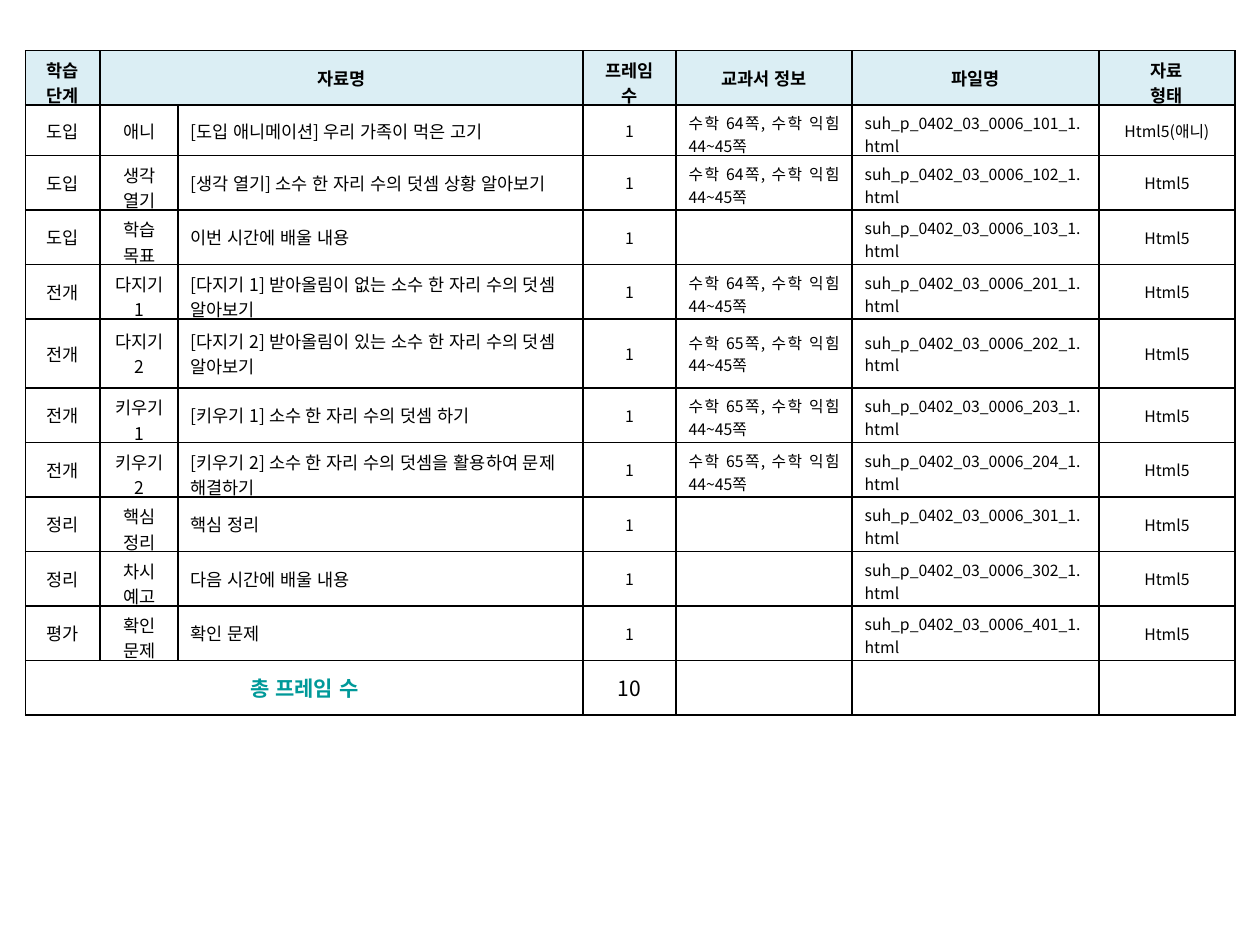
from lxml.etree import SubElement
from pptx import Presentation
from pptx.dml.color import RGBColor
from pptx.enum.lang import MSO_LANGUAGE_ID as Lang
from pptx.enum.text import MSO_ANCHOR, PP_ALIGN as Align
from pptx.oxml.ns import qn
from pptx.util import Pt

FONT = "Noto Sans CJK KR"
BLACK, TEAL, HEADER_BLUE = "000000", "009999", "DBEEF4"

COL_WIDTHS = [42.6, 44.6, 231.4, 53.2, 100.6, 141, 77.8]
LINE_CAPACITY = [3, 3, 30, 3, 16, 20, 12]  # characters that fit on one line
ROW_HEIGHT = 31.14
SPECIAL_HEIGHTS = {1: 28.86, 5: 39.43}
MARGIN = 3.6
LINE_HEIGHT = 1.46
HEADERS = ["학습 단계", "자료명", "", "프레임 수", "교과서 정보", "파일명", "자료\n형태"]

# stage, activity, title, textbook page, file number
LESSONS = [
    ("도입", "애니", "[도입 애니메이션] 우리 가족이 먹은 고기", 64, 101),
    ("도입", "생각 열기", "[생각 열기] 소수 한 자리 수의 덧셈 상황 알아보기", 64, 102),
    ("도입", "학습 목표", "이번 시간에 배울 내용", None, 103),
    ("전개", "다지기 1", "[다지기 1] 받아올림이 없는 소수 한 자리 수의 덧셈 알아보기", 64, 201),
    ("전개", "다지기 2", "[다지기 2] 받아올림이 있는 소수 한 자리 수의 덧셈 알아보기", 65, 202),
    ("전개", "키우기 1", "[키우기 1] 소수 한 자리 수의 덧셈 하기", 65, 203),
    ("전개", "키우기 2", "[키우기 2] 소수 한 자리 수의 덧셈을 활용하여 문제 해결하기", 65, 204),
    ("정리", "핵심 정리", "핵심 정리", None, 301),
    ("정리", "차시 예고", "다음 시간에 배울 내용", None, 302),
    ("평가", "확인 문제", "확인 문제", None, 401),
]
HEADER_FORMATS = [dict(size=10, bold=True)] * len(HEADERS)
BODY_FORMATS = [
    dict(size=10), dict(size=10), dict(size=10, align=Align.LEFT),
    dict(size=9), dict(size=9, align=Align.JUSTIFY),
    dict(size=9, align=Align.JUSTIFY), dict(size=9),
]


def rgb(color):
    return RGBColor.from_string(color)


def set_borders(cell, color=BLACK, width=1):
    tc_pr = cell._tc.get_or_add_tcPr()
    for i, side in enumerate(("lnL", "lnR", "lnT", "lnB")):
        ln = tc_pr.makeelement(qn(f"a:{side}"), {"w": str(Pt(width))})
        fill = SubElement(ln, qn("a:solidFill"))
        SubElement(fill, qn("a:srgbClr"), val=color)
        tc_pr.insert(i, ln)


def write(cell, text, size=10, color=BLACK, bold=False, align=Align.CENTER):
    tf = cell.text_frame
    for i, line in enumerate(text.split("\n")):
        p = tf.add_paragraph() if i else tf.paragraphs[0]
        p.alignment = align
        if not line:
            SubElement(p._p, qn("a:endParaRPr"), sz=str(size * 100))
            continue
        r = p.add_run()
        r.text = line
        r.font.size, r.font.bold, r.font.name = Pt(size), bold, FONT
        r.font.color.rgb = rgb(color)
        r.font.language_id = Lang.KOREAN
        SubElement(r._r.get_or_add_rPr(), qn("a:ea"), typeface=FONT)


def style_cell(cell, fill=None):
    cell.vertical_anchor = MSO_ANCHOR.MIDDLE
    cell.margin_left = cell.margin_right = Pt(7.2)
    cell.margin_top = cell.margin_bottom = Pt(MARGIN)
    if fill:
        cell.fill.solid()
        cell.fill.fore_color.rgb = rgb(fill)
    else:
        cell.fill.background()
    set_borders(cell)


def add_grid(slide):
    heights = [SPECIAL_HEIGHTS.get(i, ROW_HEIGHT) for i in range(len(LESSONS) + 2)]
    table = slide.shapes.add_table(
        len(heights), len(COL_WIDTHS), Pt(14.6), Pt(29),
        Pt(sum(COL_WIDTHS)), Pt(sum(heights))).table
    table.first_row = table.horz_banding = False
    for column, width in zip(table.columns, COL_WIDTHS):
        column.width = Pt(width)
    for i, (row, height) in enumerate(zip(table.rows, heights)):
        row.height = Pt(height)
        for cell in row.cells:
            style_cell(cell, None if i else HEADER_BLUE)
    return table


def fill_row(row, texts, formats):
    """Write a row; two-line cells give up bottom margin to keep its height."""
    for cell, text, fmt, capacity in zip(row.cells, texts, formats, LINE_CAPACITY):
        write(cell, text, **fmt)
        if len(text) > capacity or "\n" in text:
            room = row.height.pt - MARGIN - 2 * LINE_HEIGHT * fmt["size"]
            cell.margin_bottom = Pt(min(MARGIN, room))


def lesson_texts(number, stage, activity, title, page, file_number):
    """Return the seven cell texts of one lesson row."""
    pages = f"수학 {page}쪽, 수학 익힘 44~45쪽" if page else ""
    file_name = f"suh_p_0402_03_0006_{file_number}_1.html"
    file_type = "Html5(애니)" if number == 1 else "Html5"
    return [stage, activity, title, "1", pages, file_name, file_type]


def fill_table(table):
    last = len(LESSONS) + 1
    table.cell(0, 1).merge(table.cell(0, 2))
    table.cell(last, 0).merge(table.cell(last, 2))
    fill_row(table.rows[0], HEADERS, HEADER_FORMATS)
    for i, lesson in enumerate(LESSONS, start=1):
        fill_row(table.rows[i], lesson_texts(i, *lesson), BODY_FORMATS)
    write(table.cell(last, 0), "총 프레임 수", size=12, color=TEAL, bold=True)
    write(table.cell(last, 3), str(len(LESSONS)), size=12)
    for col in (4, 5, 6):
        write(table.cell(last, col), "")


def main():
    prs = Presentation()
    prs.slide_width, prs.slide_height = Pt(720), Pt(540)
    slide = prs.slides.add_slide(prs.slide_layouts[6])
    fill_table(add_grid(slide))
    prs.save("out.pptx")


if __name__ == "__main__":
    main()
